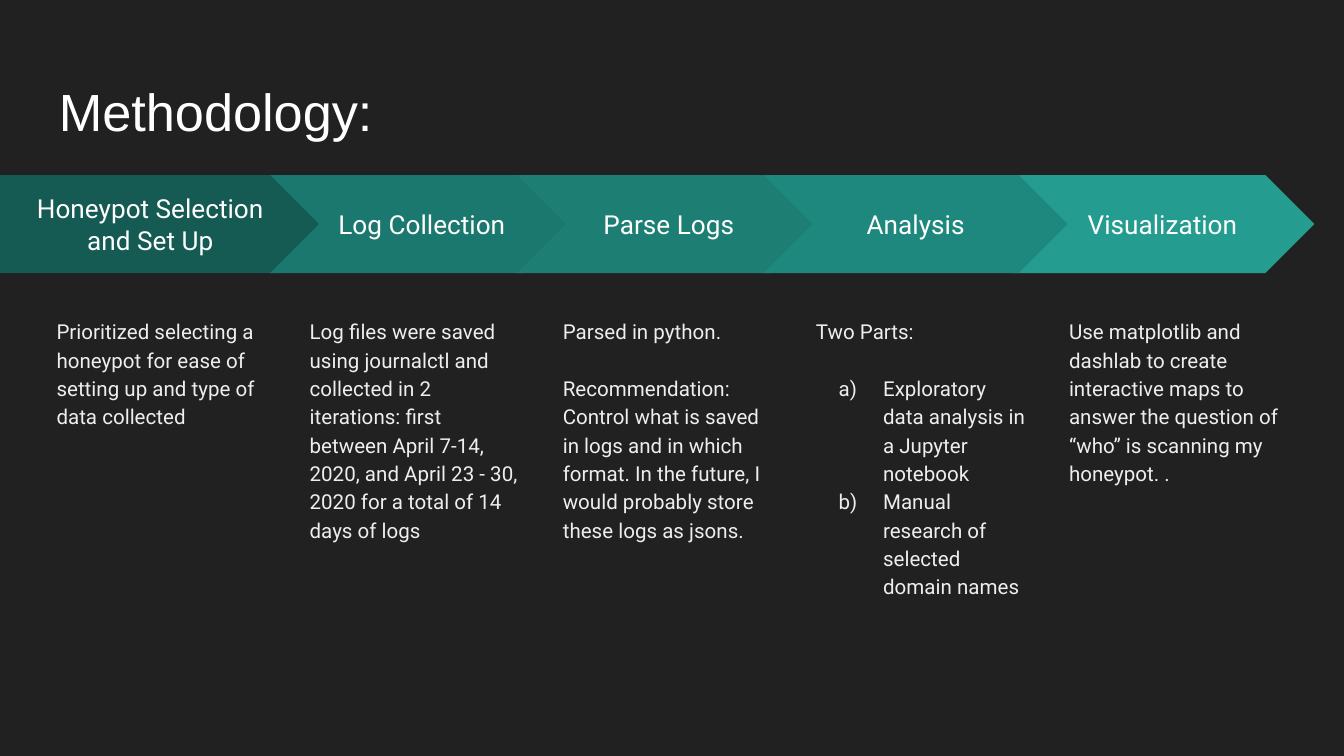
import lxml.etree
import pptx
import pptx.dml.color
import pptx.enum.shapes
import pptx.enum.text
import pptx.oxml.ns
import pptx.util

Pt = pptx.util.Pt
RGBColor = pptx.dml.color.RGBColor
Shape = pptx.enum.shapes.MSO_SHAPE
Anchor = pptx.enum.text.MSO_ANCHOR
Align = pptx.enum.text.PP_ALIGN

BACKGROUND = RGBColor(0x21, 0x21, 0x21)
WHITE = RGBColor(0xFF, 0xFF, 0xFF)
BODY_COLOR = RGBColor(0xEE, 0xEE, 0xEE)
STAGE_COLORS = [
    RGBColor(0x15, 0x5B, 0x54),
    RGBColor(0x1B, 0x78, 0x6E),
    RGBColor(0x1D, 0x7E, 0x74),
    RGBColor(0x1F, 0x88, 0x7E),
    RGBColor(0x24, 0x9C, 0x90),
]

INSET = 7.2
ARROW_TOP, ARROW_HEIGHT = 93.8, 52.5
FIRST_ARROW_WIDTH, ARROW_WIDTH = 174.2, 162.7
CHEVRON_LEFT, CHEVRON_STEP = 144.7, 132.25
BODY_LEFT, BODY_STEP = 23.2, 135.6
BODY_TOP, BODY_WIDTH, BODY_HEIGHT = 162, 128.2, 185
PARAGRAPH_GAP = 15.2

# Each stage: heading, body paragraphs, lettered items
STAGES = [
    ("Honeypot Selection and Set Up",
     ["Prioritized selecting a honeypot for ease of setting up and type of "
      "data collected"], []),
    ("Log Collection",
     ["Log files were saved using journalctl and collected in 2 iterations: "
      "first between April 7-14, 2020, and April 23 - 30, 2020 for a total "
      "of 14 days of logs"], []),
    ("Parse Logs",
     ["Parsed in python.",
      "Recommendation: Control what is saved in logs and in which format. "
      "In the future, I would probably store these logs as jsons."], []),
    ("Analysis",
     ["Two Parts:"],
     ["Exploratory data analysis in a Jupyter notebook",
      "Manual research of selected domain names"]),
    ("Visualization",
     ["Use matplotlib and dashlab to create interactive maps to answer the "
      "question of “who” is scanning my honeypot. ."], []),
]
# Analysis lies over Visualization, so it is drawn last.
DRAW_ORDER = [0, 1, 2, 4, 3]


def prepare_frame(text_frame, anchor=Anchor.TOP):
    text_frame.word_wrap = True
    text_frame.vertical_anchor = anchor
    text_frame.margin_left = text_frame.margin_right = Pt(INSET)
    text_frame.margin_top = text_frame.margin_bottom = Pt(INSET)


def format_runs(paragraph, size, color, font_name="Roboto"):
    for run in paragraph.runs:
        run.font.size = Pt(size)
        run.font.name = font_name
        run.font.color.rgb = color


def add_lettering(paragraph):
    """Number the paragraph a), b), ... with a hanging indent."""
    properties = paragraph._p.get_or_add_pPr()
    properties.set("marL", str(Pt(36)))
    properties.set("indent", str(Pt(-23.8)))
    qualified = pptx.oxml.ns.qn
    bullet_color = lxml.etree.SubElement(properties, qualified("a:buClr"))
    lxml.etree.SubElement(
        bullet_color, qualified("a:srgbClr"), val=str(BODY_COLOR))
    lxml.etree.SubElement(
        properties, qualified("a:buAutoNum"), type="alphaLcParenR")


def add_title(slide, text):
    box = slide.shapes.add_textbox(Pt(24.5), Pt(35.3), Pt(671), Pt(45.4))
    prepare_frame(box.text_frame)
    box.text_frame.text = text
    format_runs(box.text_frame.paragraphs[0], 28, WHITE, "Arial")


def add_arrow(slide, index, heading):
    if index == 0:
        kind, left, width = Shape.PENTAGON, 0, FIRST_ARROW_WIDTH
    else:
        kind, width = Shape.CHEVRON, ARROW_WIDTH
        left = CHEVRON_LEFT + (index - 1) * CHEVRON_STEP
    arrow = slide.shapes.add_shape(
        kind, Pt(left), Pt(ARROW_TOP), Pt(width), Pt(ARROW_HEIGHT))
    arrow.adjustments[0] = 0.5
    arrow.shadow.inherit = False
    arrow.fill.solid()
    arrow.fill.fore_color.rgb = STAGE_COLORS[index]
    arrow.line.fill.background()
    prepare_frame(arrow.text_frame, Anchor.MIDDLE)
    arrow.text_frame.text = heading
    paragraph = arrow.text_frame.paragraphs[0]
    paragraph.alignment = Align.CENTER
    format_runs(paragraph, 14, WHITE)


def add_body(slide, index, texts, items):
    box = slide.shapes.add_textbox(
        Pt(BODY_LEFT + index * BODY_STEP), Pt(BODY_TOP),
        Pt(BODY_WIDTH), Pt(BODY_HEIGHT))
    text_frame = box.text_frame
    prepare_frame(text_frame)
    text_frame.text = "\n".join(texts + items)
    for position, paragraph in enumerate(text_frame.paragraphs):
        if position >= len(texts):
            add_lettering(paragraph)
        paragraph.line_spacing = 1.15
        if 0 < position <= len(texts):
            paragraph.space_before = Pt(PARAGRAPH_GAP)
        format_runs(paragraph, 11, BODY_COLOR)


def main():
    presentation = pptx.Presentation()
    presentation.slide_width = Pt(720)
    presentation.slide_height = Pt(405)
    slide = presentation.slides.add_slide(presentation.slide_layouts[6])
    slide.background.fill.solid()
    slide.background.fill.fore_color.rgb = BACKGROUND

    add_title(slide, "Methodology:")
    for index in DRAW_ORDER:
        heading, texts, items = STAGES[index]
        add_arrow(slide, index, heading)
        add_body(slide, index, texts, items)

    presentation.save("out.pptx")


if __name__ == "__main__":
    main()
